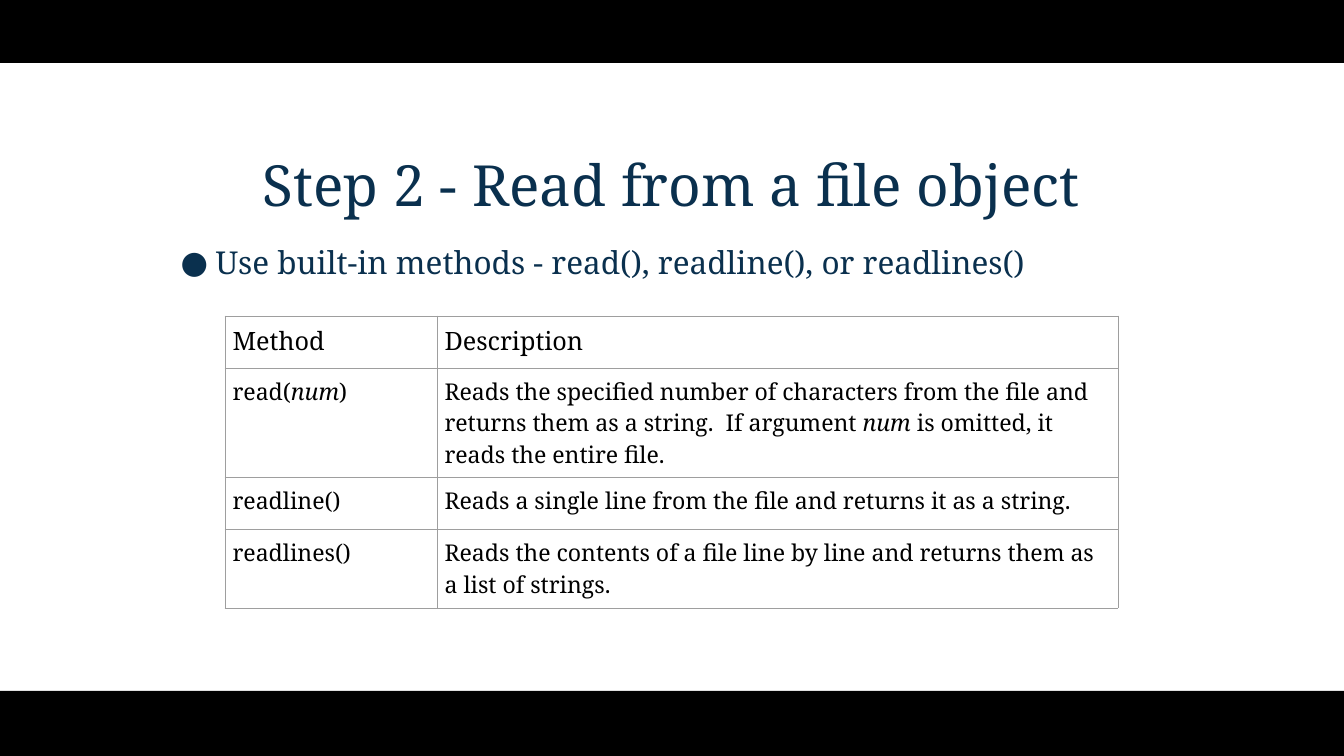
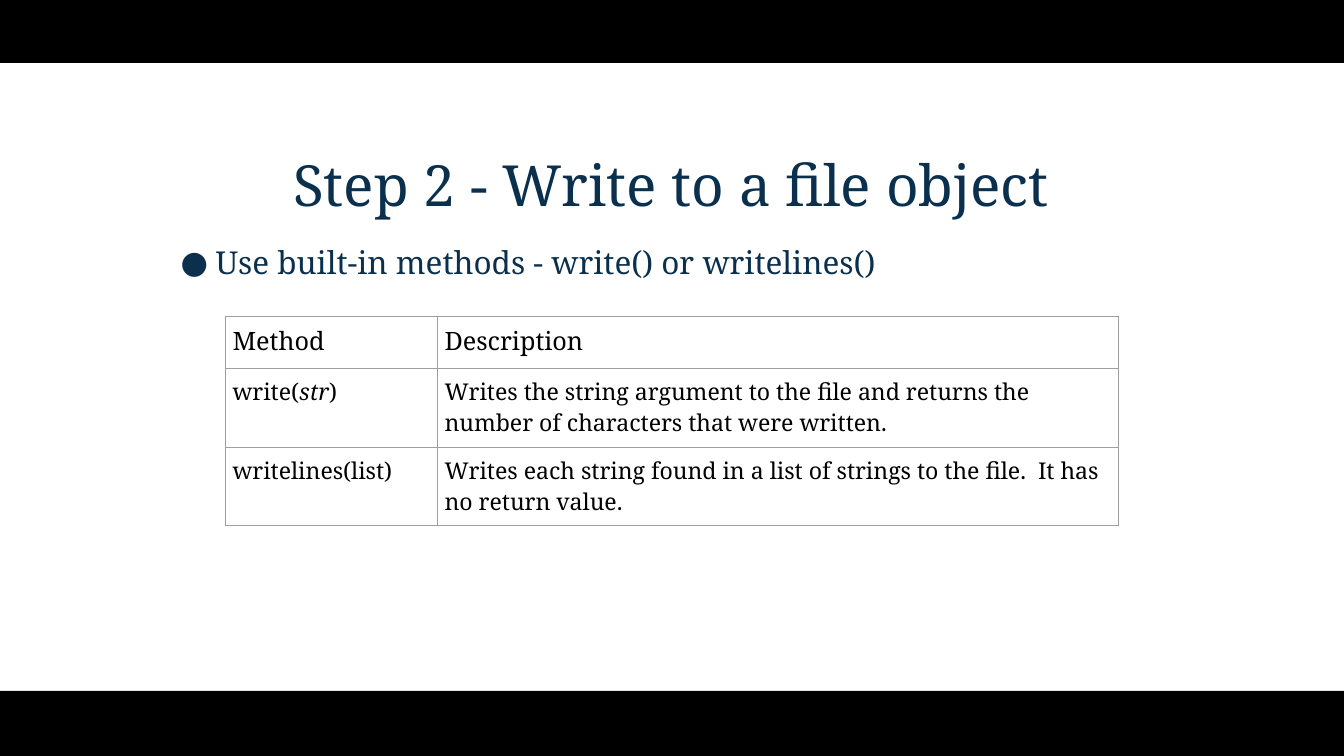
"""Builds two slides on reading from and writing to file objects."""
from dataclasses import dataclass

from lxml.etree import SubElement
from pptx import Presentation
from pptx.dml.color import RGBColor
from pptx.enum.shapes import MSO_SHAPE
from pptx.enum.text import MSO_ANCHOR, MSO_AUTO_SIZE, PP_ALIGN
from pptx.oxml import parse_xml
from pptx.oxml.ns import nsdecls, qn
from pptx.util import Pt

SCALE = 914400 / 75.6


def px(n):
    return round(n * SCALE)


@dataclass(frozen=True)
class Theme:
    font: str = "Noto Serif"
    band: str = "000000"
    paper: str = "FFFFFF"
    heading: str = "0A304E"
    text: str = "000000"
    border: str = "9E9E9E"
    title_size: float = 54
    body_size: float = 30
    header_size: float = 24
    cell_size: float = 22
    border_width: float = 0.75
    inset: float = 7.2


class Deck:
    def __init__(self, theme):
        self.theme = theme
        self.prs = Presentation()
        self.prs.slide_width, self.prs.slide_height = px(1344), px(756)
        self.layout = self.prs.slide_layouts[1]
        self.master = self.prs.slide_master
        fill = self.master.background.fill
        fill.solid()
        fill.fore_color.rgb = RGBColor.from_string(theme.paper)
        self.place(self.layout.placeholders[0], 95, 127, 1152, 98)
        self.place(self.layout.placeholders[1], 95, 235, 1152, 346)
        self.slide = None

    def place(self, sp, left, top, width, height):
        sp.left, sp.top, sp.width, sp.height = map(px, (left, top, width, height))

    def add_slide(self):
        self.slide = self.prs.slides.add_slide(self.layout)

    def master_band(self, shape_id, top, height):
        sp = self.slide.shapes.add_shape(
            MSO_SHAPE.RECTANGLE, 0, px(top), px(1344), px(height))
        sp.shadow.inherit = False
        sp.fill.solid()
        sp.fill.fore_color.rgb = RGBColor.from_string(self.theme.band)
        sp.line.fill.background()
        sp.element.nvSpPr.cNvPr.set("id", str(shape_id))
        self.master.element.cSld.spTree.insert(2, sp.element)

    def set_insets(self, box):
        inset = Pt(self.theme.inset)
        box.margin_left = box.margin_right = inset
        box.margin_top = box.margin_bottom = inset

    def format_runs(self, p, size, color):
        for r in p.runs:
            r.font.name = self.theme.font
            r.font.size = Pt(size)
            r.font.color.rgb = RGBColor.from_string(color)

    def fill_placeholder(self, sp, text, size, anchor):
        tf = sp.text_frame
        tf.text = text
        tf.word_wrap = True
        tf.auto_size = MSO_AUTO_SIZE.NONE
        tf.vertical_anchor = anchor
        self.set_insets(tf)
        p = tf.paragraphs[0]
        p.space_before = Pt(0)
        self.format_runs(p, size, self.theme.heading)
        return p

    def title(self, text):
        p = self.fill_placeholder(
            self.slide.shapes.title, text, self.theme.title_size, MSO_ANCHOR.BOTTOM)
        p.alignment = PP_ALIGN.CENTER

    def bullet(self, text):
        p = self.fill_placeholder(
            self.slide.placeholders[1], text, self.theme.body_size, MSO_ANCHOR.TOP)
        pPr = p._p.get_or_add_pPr()
        pPr.set("marL", str(px(113)))
        pPr.set("indent", str(px(-35)))
        color = SubElement(pPr, qn("a:buClr"))
        SubElement(color, qn("a:srgbClr"), val=self.theme.heading)
        SubElement(pPr, qn("a:buFont"), typeface=self.theme.font)
        SubElement(pPr, qn("a:buChar"), char="●")

    def cell(self, cell, text, size):
        p = cell.text_frame.paragraphs[0]
        for i, part in enumerate(text.split("*")):
            r = p.add_run()
            r.text = part
            r.font.bold = False
            r.font.italic = i % 2 == 1
        self.format_runs(p, size, self.theme.text)
        self.set_insets(cell)
        cell.vertical_anchor = MSO_ANCHOR.TOP
        cell.fill.background()
        tcPr = cell._tc.get_or_add_tcPr()
        for i, side in enumerate("LRTB"):
            tcPr.insert(i, parse_xml(
                f'<a:ln{side} {nsdecls("a")} w="{Pt(self.theme.border_width)}">'
                f'<a:solidFill><a:srgbClr val="{self.theme.border}"/></a:solidFill>'
                f'</a:ln{side}>'))

    def method_table(self, methods):
        rows = [(52, "Method", "Description"), *methods]
        widths = (212, 681)
        height = sum(row[0] for row in rows)
        table = self.slide.shapes.add_table(
            len(rows), len(widths), px(225), px(316), px(sum(widths)), px(height)).table
        table.first_row = table.horz_banding = False
        for column, width in zip(table.columns, widths):
            column.width = px(width)
        for i, (row_height, *texts) in enumerate(rows):
            table.rows[i].height = px(row_height)
            size = self.theme.cell_size if i else self.theme.header_size
            for j, text in enumerate(texts):
                self.cell(table.cell(i, j), text, size)


SLIDES = [
    ("Step 2 - Read from a file object",
     "Use built-in methods - read(), readline(), or readlines()",
     [(109, "read(*num*)",
       "Reads the specified number of characters from the file and returns them "
       "as a string.  If argument *num* is omitted, it reads the entire file."),
      (52, "readline()",
       "Reads a single line from the file and returns it as a string."),
      (78, "readlines()",
       "Reads the contents of a file line by line and returns them as a list of "
       "strings.")]),
    ("Step 2 - Write to a file object",
     "Use built-in methods - write() or writelines()",
     [(79, "write(*str*)",
       "Writes the string argument to the file and returns the number of "
       "characters that were written."),
      (78, "writelines(list)",
       "Writes each string found in a list of strings to the file.  It has no "
       "return value.")]),
]

deck = Deck(Theme())
for title, bullet, methods in SLIDES:
    deck.add_slide()
    deck.title(title)
    deck.bullet(bullet)
    deck.method_table(methods)
deck.master_band(20, 0, 63)
deck.master_band(21, 691, 65)
deck.prs.save("out.pptx")
